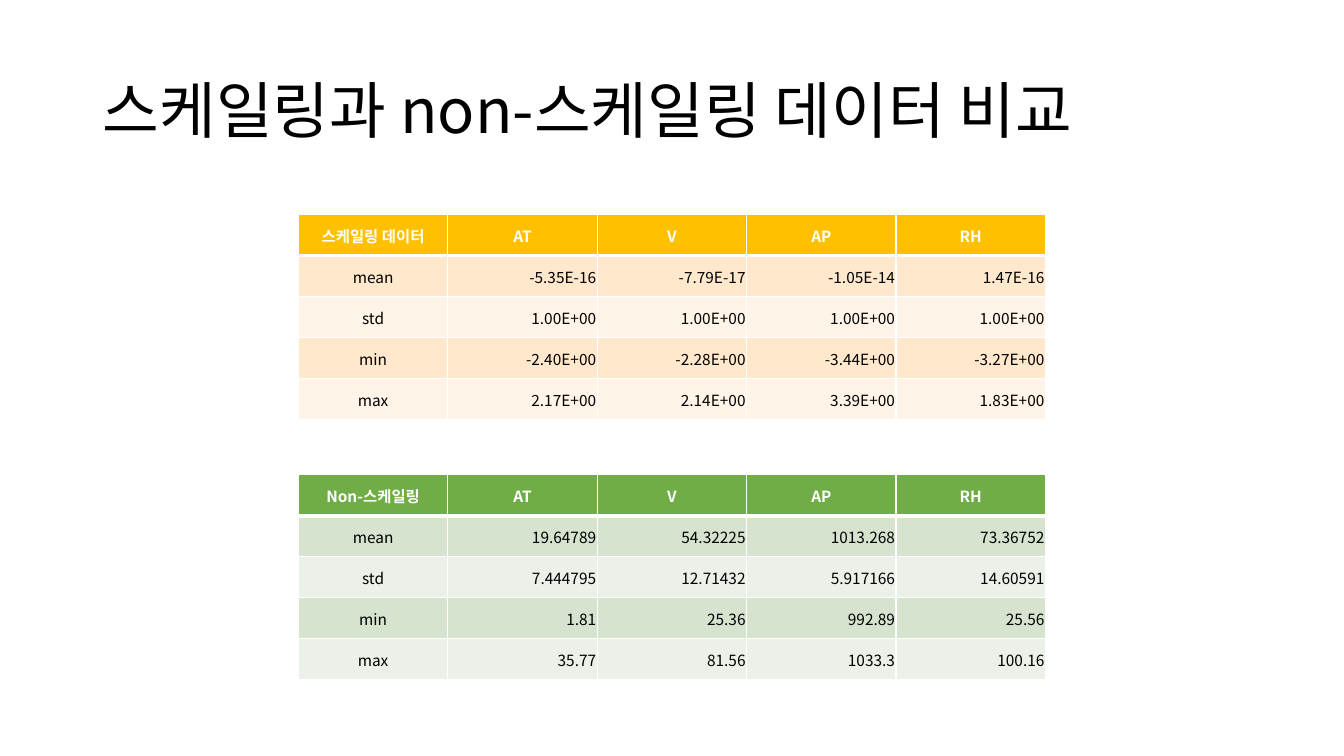
from lxml import etree
from pptx import Presentation
from pptx.dml.color import RGBColor
from pptx.enum.text import MSO_ANCHOR, PP_ALIGN
from pptx.oxml.ns import qn
from pptx.util import Inches, Pt

MIDDLE = MSO_ANCHOR.MIDDLE
LEFT, CENTER, RIGHT = PP_ALIGN.LEFT, PP_ALIGN.CENTER, PP_ALIGN.RIGHT

FONT = "Noto Sans CJK KR"
WHITE = RGBColor(0xFF, 0xFF, 0xFF)
BLACK = RGBColor(0x00, 0x00, 0x00)
AMBER = RGBColor(0xFF, 0xC0, 0x00)
AMBER_BAND = RGBColor(0xFF, 0xE8, 0xCC)
AMBER_PALE = RGBColor(0xFF, 0xF4, 0xE7)
GREEN = RGBColor(0x70, 0xAD, 0x47)
GREEN_BAND = RGBColor(0xD5, 0xE3, 0xCF)
GREEN_PALE = RGBColor(0xEB, 0xF1, 0xE9)

SLIDE_WIDTH, SLIDE_HEIGHT = Inches(13.33), Inches(7.5)
TITLE_BOX = (Inches(0.92), Inches(0.4), Inches(11.5), Inches(1.45))
TABLE_LEFT, TABLE_WIDTH, TABLE_HEIGHT = Inches(2.96), Inches(7.41), Inches(2.03)
SCALED_BOX = (TABLE_LEFT, Inches(2.13), TABLE_WIDTH, TABLE_HEIGHT)
RAW_BOX = (TABLE_LEFT, Inches(4.71), TABLE_WIDTH, TABLE_HEIGHT)

SCALED_ROWS = [
    ("스케일링 데이터", "AT", "V", "AP", "RH"),
    ("mean", "-5.35E-16", "-7.79E-17", "-1.05E-14", "1.47E-16"),
    ("std", "1.00E+00", "1.00E+00", "1.00E+00", "1.00E+00"),
    ("min", "-2.40E+00", "-2.28E+00", "-3.44E+00", "-3.27E+00"),
    ("max", "2.17E+00", "2.14E+00", "3.39E+00", "1.83E+00"),
]
RAW_ROWS = [
    ("Non-스케일링", "AT", "V", "AP", "RH"),
    ("mean", "19.64789", "54.32225", "1013.268", "73.36752"),
    ("std", "7.444795", "12.71432", "5.917166", "14.60591"),
    ("min", "1.81", "25.36", "992.89", "25.56"),
    ("max", "35.77", "81.56", "1033.3", "100.16"),
]


def write_text(frame, text, size, color, align, bold=False):
    paragraph = frame.paragraphs[0]
    paragraph.text = text
    paragraph.alignment = align
    font = paragraph.font
    font.name, font.size, font.bold = FONT, Pt(size), bold
    font.color.rgb = color
    for properties in paragraph._p.iter(qn("a:defRPr")):
        etree.SubElement(properties, qn("a:ea"), typeface=FONT)
    return paragraph


def set_borders(cell, top, bottom):
    properties = cell._tc.get_or_add_tcPr()
    widths = {"a:lnL": 1, "a:lnR": 1, "a:lnT": top, "a:lnB": bottom}
    for position, (side, width) in enumerate(widths.items()):
        line = etree.Element(qn(side), w=str(Pt(width)))
        fill = etree.SubElement(line, qn("a:solidFill"))
        etree.SubElement(fill, qn("a:srgbClr"), val=str(WHITE))
        properties.insert(position, line)


def add_title(slide, box, text):
    frame = slide.shapes.add_textbox(*box).text_frame
    frame.word_wrap = True
    frame.vertical_anchor = MIDDLE
    write_text(frame, text, 44, BLACK, LEFT).line_spacing = 0.9


def add_statistics(slide, box, rows, header_fill, band_fills):
    row_count, column_count = len(rows), len(rows[0])
    table = slide.shapes.add_table(row_count, column_count, *box).table
    for row_index, values in enumerate(rows):
        is_header = row_index == 0
        fill = header_fill if is_header else band_fills[(row_index - 1) % 2]
        for column_index, value in enumerate(values):
            cell = table.cell(row_index, column_index)
            cell.vertical_anchor = MIDDLE
            cell.margin_left = cell.margin_right = cell.margin_top = Inches(0.01)
            cell.margin_bottom = 0
            cell.fill.solid()
            cell.fill.fore_color.rgb = fill
            set_borders(cell, 3 if row_index == 1 else 1, 3 if is_header else 1)
            align = CENTER if is_header or column_index == 0 else RIGHT
            color = WHITE if is_header else BLACK
            write_text(cell.text_frame, value, 11, color, align, is_header)


def main():
    presentation = Presentation()
    presentation.slide_width = SLIDE_WIDTH
    presentation.slide_height = SLIDE_HEIGHT
    slide = presentation.slides.add_slide(presentation.slide_layouts[6])
    add_title(slide, TITLE_BOX, "스케일링과 non-스케일링 데이터 비교")
    add_statistics(slide, RAW_BOX, RAW_ROWS, GREEN, (GREEN_BAND, GREEN_PALE))
    add_statistics(slide, SCALED_BOX, SCALED_ROWS, AMBER, (AMBER_BAND, AMBER_PALE))
    presentation.save("out.pptx")


if __name__ == "__main__":
    main()
